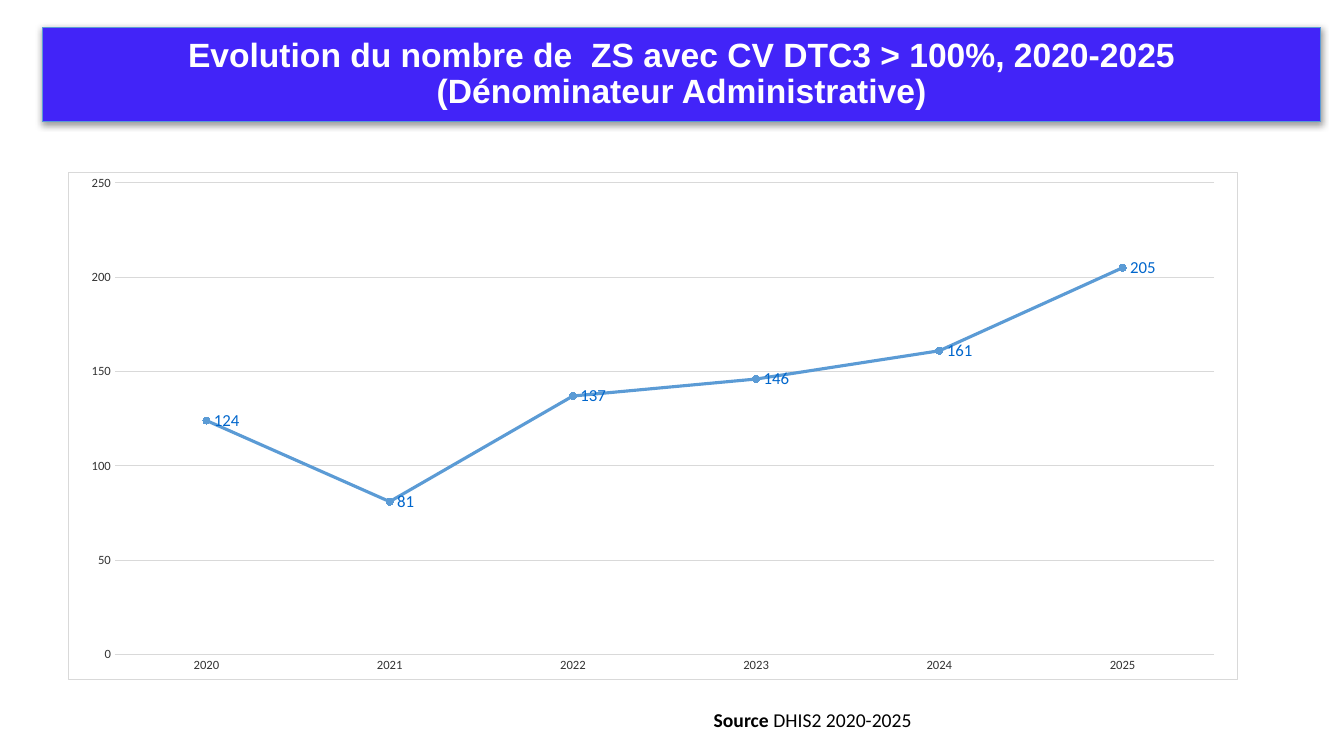
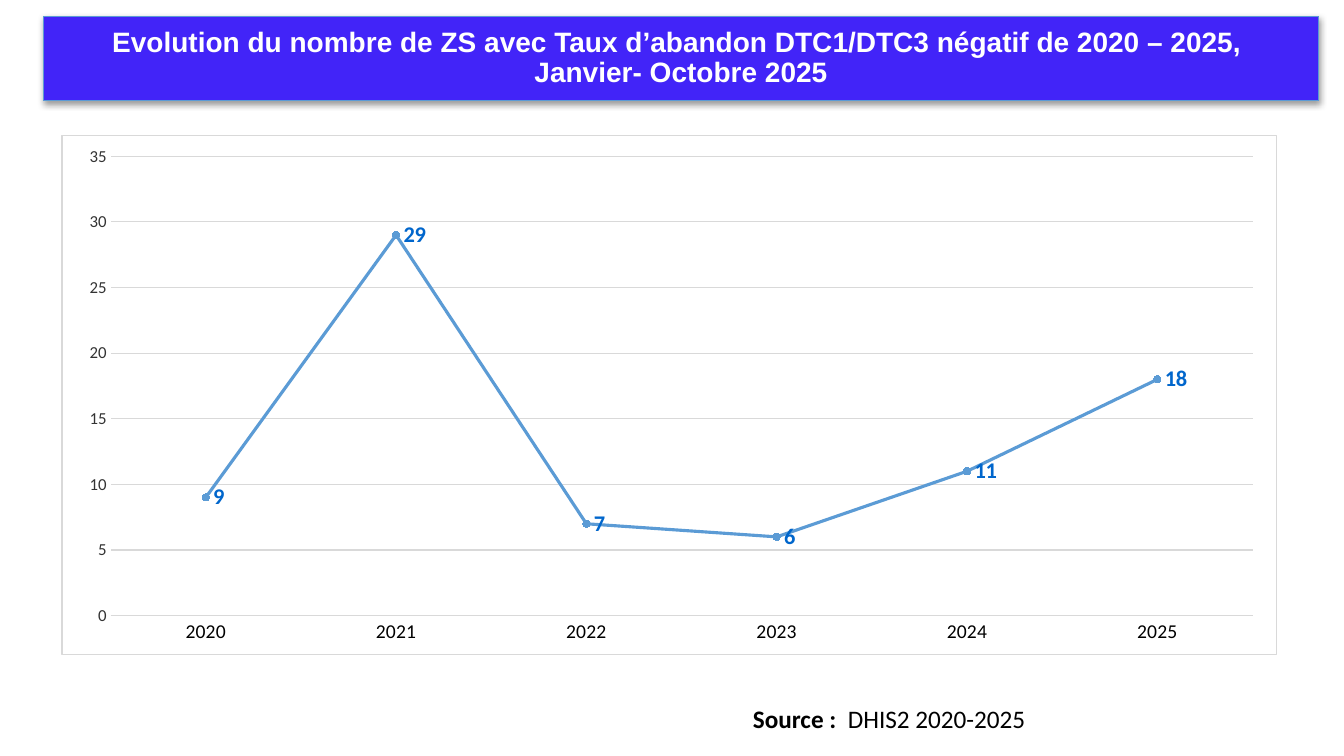
from dataclasses import dataclass
from typing import Any

from lxml import etree
from pptx import Presentation, util as u
from pptx.chart import data as cd
from pptx.dml import color as dc
from pptx.enum import chart as ce, shapes as se, text as te
from pptx.oxml import ns

COLORS = {
    "band": "4224F8",
    "series": "5B9BD5",
    "grid": "D9D9D9",
    "axis": "333333",
    "label": "0066CC",
    "black": "000000",
    "white": "FFFFFF",
}
YEARS = [str(year) for year in range(2020, 2026)]
Box = tuple[float, float, float, float]


@dataclass(frozen=True)
class TrendSlide:
    title: tuple[str, str]
    title_box: Box
    title_size: int
    source_label: str
    source_text: str
    source_box: Box
    source_size: int
    chart_box: Box
    plot: Box
    values: tuple[int, ...]
    scale_max: int
    scale_step: int
    category_font: dict[str, Any]
    value_font: dict[str, Any]
    label_font: dict[str, Any]


SLIDES = [
    TrendSlide(
        title=("Evolution du nombre de  ZS avec CV DTC3 > 100%, 2020-2025",
               "(Dénominateur Administrative)"),
        title_box=(0.42, 0.27, 12.68, 0.94), title_size=24,
        source_label="Source", source_text=" DHIS2 2020-2025",
        source_box=(6.98, 6.97, 5.56, 0.34), source_size=14,
        chart_box=(0.67, 1.71, 11.61, 5.04), plot=(0.04, 0.02, 0.94, 0.93),
        values=(124, 81, 137, 146, 161, 205), scale_max=250, scale_step=50,
        category_font={"size": 9, "color": "axis"},
        value_font={"size": 9, "color": "axis"},
        label_font={"size": 12, "color": "label", "bold": False},
    ),
    TrendSlide(
        title=("Evolution du nombre de ZS avec Taux d’abandon DTC1/DTC3 négatif de 2020 – 2025, ",
               "Janvier- Octobre 2025"),
        title_box=(0.43, 0.16, 12.65, 0.84), title_size=20,
        source_label="Source : ", source_text=" DHIS2 2020-2025",
        source_box=(7.37, 6.93, 5.54, 0.4), source_size=18,
        chart_box=(0.61, 1.34, 12.06, 5.16), plot=(0.04, 0.04, 0.94, 0.885),
        values=(9, 29, 7, 6, 11, 18), scale_max=35, scale_step=5,
        category_font={"size": 14, "color": "black"},
        value_font={"size": 12, "color": "axis"},
        label_font={"size": 16, "color": "label", "bold": True},
    ),
]


def rgb(name: str) -> dc.RGBColor:
    return dc.RGBColor.from_string(COLORS[name])


def inches(box: Box) -> list[u.Length]:
    return [u.Inches(value) for value in box]


def set_all(target: Any, **values: Any) -> None:
    for name, value in values.items():
        setattr(target, name, value)


def set_font(font: Any, size: int, color: str, name: str = "Calibri", bold: bool = False) -> None:
    set_all(font, size=u.Pt(size), name=name, bold=bold)
    font.color.rgb = rgb(color)


def set_fill(fill: Any, color: str) -> None:
    fill.solid()
    fill.fore_color.rgb = rgb(color)


def set_line(line: Any, color: str, width: float = 0.75) -> None:
    line.color.rgb = rgb(color)
    line.width = u.Pt(width)


def xml(tag: str, parent: Any = None, **attributes: Any) -> Any:
    """Make an element, inside parent when one is given."""
    values = {key: str(value) for key, value in attributes.items()}
    if parent is None:
        return etree.Element(ns.qn(tag), values)
    return etree.SubElement(parent, ns.qn(tag), values)


def add_shadow(shape: Any) -> None:
    shape.shadow.inherit = False
    effects = shape.element.spPr.find(ns.qn("a:effectLst"))
    shadow = xml("a:outerShdw", effects, blurRad=u.Pt(5), dist=u.Pt(1.6),
                 dir=90 * 60000, algn="t", rotWithShape=0)
    color = xml("a:srgbClr", shadow, val=COLORS["black"])
    xml("a:alpha", color, val=38000)


def add_title(s: Any, item: TrendSlide) -> None:
    band = s.shapes.add_shape(se.MSO_SHAPE.RECTANGLE, *inches(item.title_box))
    set_fill(band.fill, "band")
    set_line(band.line, "series")
    add_shadow(band)
    tf = band.text_frame
    set_all(tf, word_wrap=True, vertical_anchor=te.MSO_ANCHOR.MIDDLE)
    p = tf.paragraphs[0]
    set_all(p, alignment=te.PP_ALIGN.CENTER, line_spacing=0.9)
    for index, line in enumerate(item.title):
        if index:
            p.add_line_break()
        r = p.add_run()
        r.text = line
        set_font(r.font, item.title_size, "white", "Arial", True)


def add_source(s: Any, item: TrendSlide) -> None:
    tf = s.shapes.add_textbox(*inches(item.source_box)).text_frame
    set_all(tf, word_wrap=True, auto_size=te.MSO_AUTO_SIZE.SHAPE_TO_FIT_TEXT)
    for words, bold in ((item.source_label, True), (item.source_text, False)):
        r = tf.paragraphs[0].add_run()
        r.text = words
        set_font(r.font, item.source_size, "black", bold=bold)


def frame_chart(chart: Any, plot: Box) -> None:
    """Give the chart a square white frame and fix its inner plot area."""
    space = chart.element
    space.find(ns.qn("c:date1904")).addnext(xml("c:roundedCorners", val=0))
    body = space.find(ns.qn("c:chart"))
    frame = xml("c:spPr")
    xml("a:srgbClr", xml("a:solidFill", frame), val=COLORS["white"])
    border = xml("a:ln", frame, w=u.Pt(0.75))
    xml("a:srgbClr", xml("a:solidFill", border), val=COLORS["grid"])
    body.addnext(frame)

    area = body.find(ns.qn("c:plotArea"))
    for old in area.findall(ns.qn("c:layout")):
        area.remove(old)
    layout = xml("c:layout")
    manual = xml("c:manualLayout", layout)
    xml("c:layoutTarget", manual, val="inner")
    for side in "xy":
        xml(f"c:{side}Mode", manual, val="edge")
    for side, share in zip("xywh", plot):
        xml(f"c:{side}", manual, val=share)
    area.insert(0, layout)


def add_trend(s: Any, item: TrendSlide) -> None:
    data = cd.CategoryChartData()
    data.categories = YEARS
    data.add_series("Series 1", item.values)
    chart = s.shapes.add_chart(
        ce.XL_CHART_TYPE.LINE_MARKERS, *inches(item.chart_box), data).chart
    set_all(chart, has_title=False, has_legend=False)
    set_font(chart.font, 10, "black")
    frame_chart(chart, item.plot)

    categories, values = chart.category_axis, chart.value_axis
    for axis, font in ((categories, item.category_font), (values, item.value_font)):
        set_all(axis, major_tick_mark=ce.XL_TICK_MARK.NONE,
                minor_tick_mark=ce.XL_TICK_MARK.NONE)
        set_font(axis.tick_labels.font, **font)
    set_line(categories.format.line, "grid")
    set_all(values, minimum_scale=0, maximum_scale=item.scale_max,
            major_unit=item.scale_step, has_major_gridlines=True)
    values.format.line.fill.background()
    set_line(values.major_gridlines.format.line, "grid")

    plot = chart.plots[0]
    plot.vary_by_categories = False
    series = plot.series[0]
    series.smooth = False
    set_line(series.format.line, "series", 2.25)
    set_all(series.marker, style=ce.XL_MARKER_STYLE.CIRCLE, size=5)
    set_fill(series.marker.format.fill, "series")
    set_line(series.marker.format.line, "series")
    labels = series.data_labels
    set_all(labels, show_value=True, position=ce.XL_LABEL_POSITION.RIGHT)
    set_font(labels.font, **item.label_font)


def main() -> None:
    prs = Presentation()
    set_all(prs, slide_width=u.Inches(13.33), slide_height=u.Inches(7.5))
    for item in SLIDES:
        s = prs.slides.add_slide(prs.slide_layouts[6])
        add_title(s, item)
        add_source(s, item)
        add_trend(s, item)
    prs.save("out.pptx")


if __name__ == "__main__":
    main()
